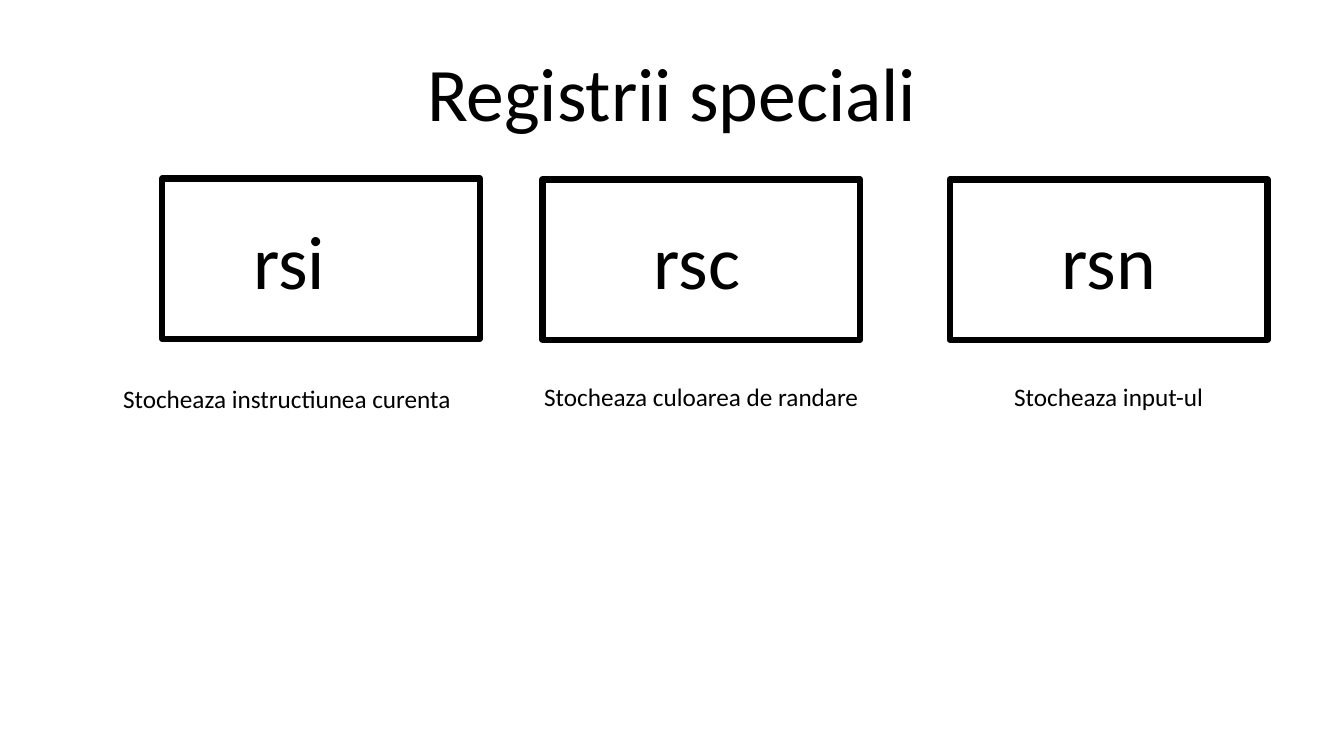
"""Build the slide on the special registers rsi, rsc and rsn."""
from pptx import Presentation
from pptx.dml.color import RGBColor
from pptx.enum.shapes import MSO_SHAPE
from pptx.enum.text import PP_ALIGN
from pptx.util import Inches, Pt


def color(value):
    return RGBColor.from_string(value)


def add_text(text, left, top, width, height, size, wrap):
    box = slide.shapes.add_textbox(Inches(left), Inches(top), Inches(width), Inches(height))
    box.text_frame.word_wrap = wrap
    paragraph = box.text_frame.paragraphs[0]
    paragraph.text = text
    paragraph.alignment = PP_ALIGN.CENTER
    paragraph.font.name = "Calibri"
    paragraph.font.size = Pt(size)
    paragraph.font.color.rgb = color("000000")


prs = Presentation()
prs.slide_width = Inches(13.33)
prs.slide_height = Inches(7.5)
slide = prs.slides.add_slide(prs.slide_layouts[6])

add_text("Registrii speciali", 4.11, 0.41, 5.11, 1.01, 54, False)

registers = [
    ("rsi", 1.61, 1.77, 2.41, 0.92, "Stocheaza instructiunea curenta", 1.04, 3.75),
    ("rsc", 5.38, 1.78, 6.38, 1.07, "Stocheaza culoarea de randare", 5.15, 3.73),
    ("rsn", 9.42, 1.78, 10.42, 1.15, "Stocheaza input-ul", 9.19, 3.73),
]
for name, left, top, name_left, name_width, role, role_left, role_top in registers:
    frame = slide.shapes.add_shape(
        MSO_SHAPE.RECTANGLE, Inches(left), Inches(top), Inches(3.15), Inches(1.59))
    frame.shadow.inherit = False
    frame.fill.solid()
    frame.fill.fore_color.rgb = color("FFFFFF")
    frame.line.color.rgb = color("000000")
    frame.line.width = Pt(4.5)
    add_text(name, name_left, 2.07, name_width, 1.01, 54, False)
    add_text(role, role_left, role_top, 3.61, 0.4, 18, True)

prs.save("out.pptx")
